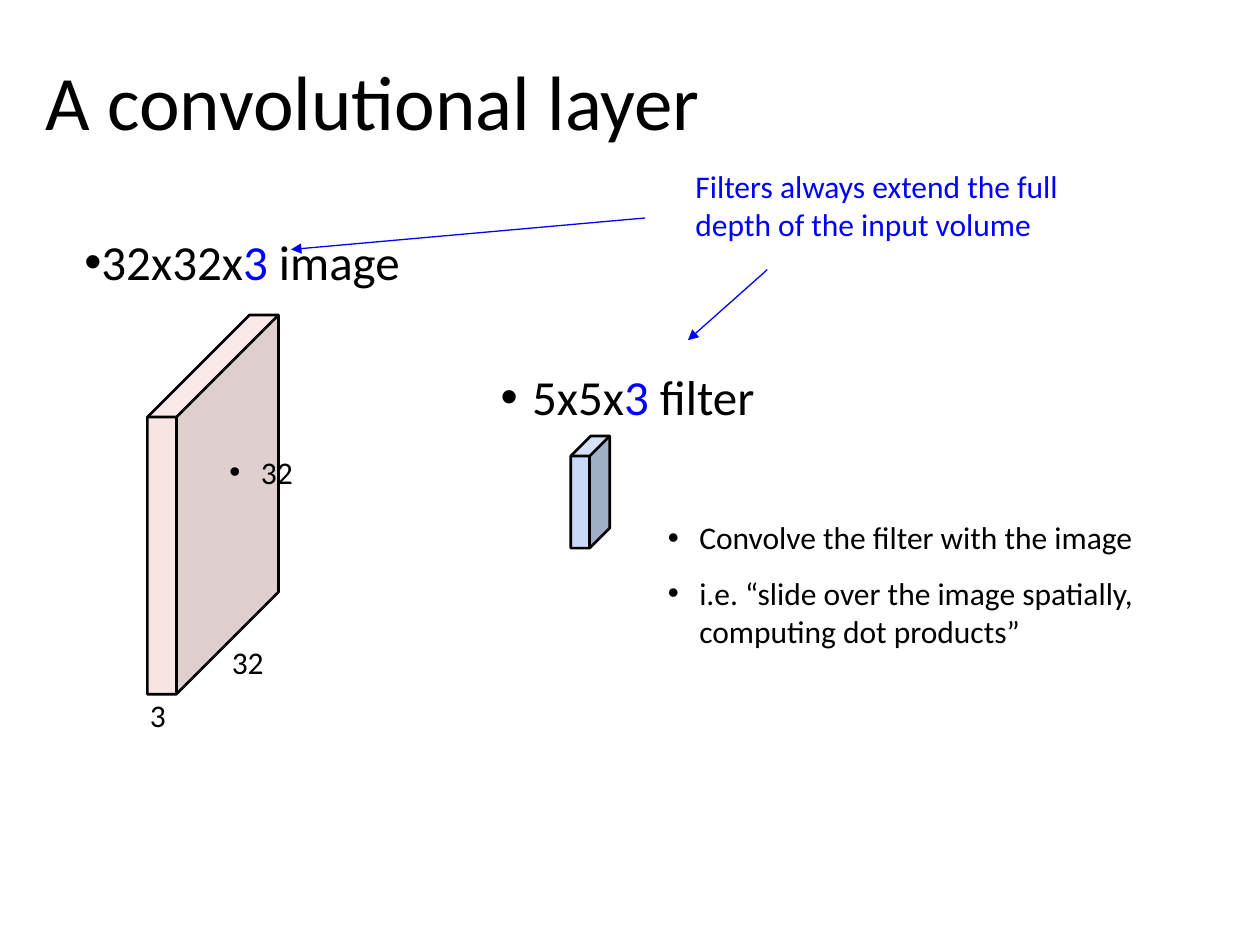
import pptx
import pptx.util
import pptx.dml.color
import pptx.enum.shapes
import pptx.enum.text
import lxml.etree

Inches = pptx.util.Inches
Pt = pptx.util.Pt
RGB = pptx.dml.color.RGBColor.from_string
qn = pptx.oxml.ns.qn
color = {"black": "000000", "blue": "0000FF"}
image = {"front": "F4CCCC", "side": "C3A3A3", "top": "F6D6D6"}
kernel = {"front": "C8DAF7", "side": "A0AEC6", "top": "D3E1F9"}


def draw(points, fill=None, alpha=100, close=True):
    spots = [(Inches(x), Inches(y)) for x, y in points]
    pen = slide.shapes.build_freeform(*spots[0], scale=1)
    pen.add_line_segments(spots[1:], close=close)
    shape = pen.convert_to_shape()
    shape.shadow.inherit = False
    if fill:
        shape.fill.solid()
        shape.fill.fore_color.rgb = RGB(fill)
        tint = shape.fill._xPr.find(".//" + qn("a:srgbClr"))
        if alpha < 100:
            lxml.etree.SubElement(tint, qn("a:alpha"), val=str(alpha * 1000))
        shape.line.fill.background()
    else:
        shape.fill.background()
        shape.line.color.rgb = RGB(color["black"])
        shape.line.width = Pt(1.5)


def join(start, end, tint, width, arrow=False):
    line = slide.shapes.add_connector(
        pptx.enum.shapes.MSO_CONNECTOR.STRAIGHT, *map(Inches, start + end))
    line.line.color.rgb = RGB(color[tint])
    line.line.width = Pt(width)
    if arrow:
        lxml.etree.SubElement(line.line._get_or_add_ln(), qn("a:tailEnd"),
                              type="triangle", w="med", len="med")
    lxml.etree.SubElement(line._element.spPr, qn("a:effectLst"))


deck = pptx.Presentation()
deck.slide_width, deck.slide_height = Inches(10), Inches(7.5)
slide = deck.slides.add_slide(deck.slide_layouts[5])

title = slide.shapes.title
title.left, title.top = Inches(0.26), Inches(0.11)
title.width, title.height = Inches(8.62), Inches(1.45)
title.text_frame.vertical_anchor = pptx.enum.text.MSO_ANCHOR.MIDDLE
para = title.text_frame.paragraphs[0]
para.alignment = pptx.enum.text.PP_ALIGN.LEFT
para.line_spacing = 0.9
run = para.add_run()
run.text = "A convolutional layer"
run.font.name, run.font.size = "Calibri", Pt(44)
run.font.color.rgb = RGB(color["black"])

for left, mid, top, base, deep, tone, alpha in [
    (1.17, 1.4, 3.31, 5.51, 0.81, image, 52),
    (4.53, 4.68, 3.62, 4.35, 0.16, kernel, 100),
]:
    right, back, low = mid + deep, top - deep, base - deep
    draw([(left, top), (mid, top), (mid, base), (left, base)], tone["front"], alpha)
    draw([(mid, base), (mid, top), (right, back), (right, low)], tone["side"], alpha)
    draw([(mid, top), (left, top), (left + deep, back), (right, back)], tone["top"], alpha)
    draw([(left, top), (left + deep, back), (right, back), (right, low),
          (mid, base), (left, base)])
    draw([(left, top), (mid, top), (right, back)], close=False)
    join((mid, top), (mid, base), "black", 1.5)

# Each row: indent, hanging, space before, line spacing, size, centred, runs
body = [
    (0.01, -0.25, 0, 1, 28, False,
     [("32x32x", "black"), ("3 ", "blue"), ("image", "black")]),
    (0.25, -0.25, 43.5, 1, 28, True,
     [("5x5x", "black"), ("3 ", "blue"), ("filter", "black")]),
    (1.4, -0.25, 15.5, 1, 18, False, [("32", "black")]),
    (4.88, -0.25, 15.8, 1, 18, False, [("Convolve the filter with the image", "black")]),
    (4.88, -0.25, 10, 1.01, 18, False,
     [("i.e. “slide over the image spatially, computing dot products”", "black")]),
]
note = [(0.01, 0, 0, 1.01, 18, False,
         [("Filters always extend the full depth of the input volume", "blue")])]
width = [(0.01, 0, 0, Pt(20.9), 18, False, [("32", "black")])]
depth = [(0.01, 0, 0, Pt(20.9), 18, False, [("3", "black")])]

for place, inset, rows in [
    ((0.67, 1.83, 8.62, 3.39), 0.01, body),
    ((5.51, 1.31, 3.16, 0.63), 0.01, note),
    ((1.83, 5.11, 0.31, 0.29), 0, width),
    ((1.18, 5.53, 0.17, 0.29), 0, depth),
]:
    frame = slide.shapes.add_textbox(*map(Inches, place)).text_frame
    frame.word_wrap = True
    frame.margin_left = frame.margin_right = frame.margin_bottom = 0
    frame.margin_top = Inches(inset)
    for i, (indent, hang, before, space, size, center, runs) in enumerate(rows):
        para = frame.add_paragraph() if i else frame.paragraphs[0]
        props = para._p.get_or_add_pPr()
        props.set("marL", str(Inches(indent)))
        props.set("indent", str(Inches(hang)))
        if hang:
            lxml.etree.SubElement(props, qn("a:buFont"), typeface="Arial")
            lxml.etree.SubElement(props, qn("a:buChar"), char="•")
        para.line_spacing = space
        if before:
            para.space_before = Pt(before)
        if center:
            para.alignment = pptx.enum.text.PP_ALIGN.CENTER
        for text, tint in runs:
            run = para.add_run()
            run.text = text
            run.font.name, run.font.size = "Calibri", Pt(size)
            run.font.color.rgb = RGB(color[tint])

join((6.09, 2.14), (5.46, 2.7), "blue", 0.75, True)
join((5.12, 1.73), (2.31, 1.98), "blue", 0.75, True)

deck.save("out.pptx")
